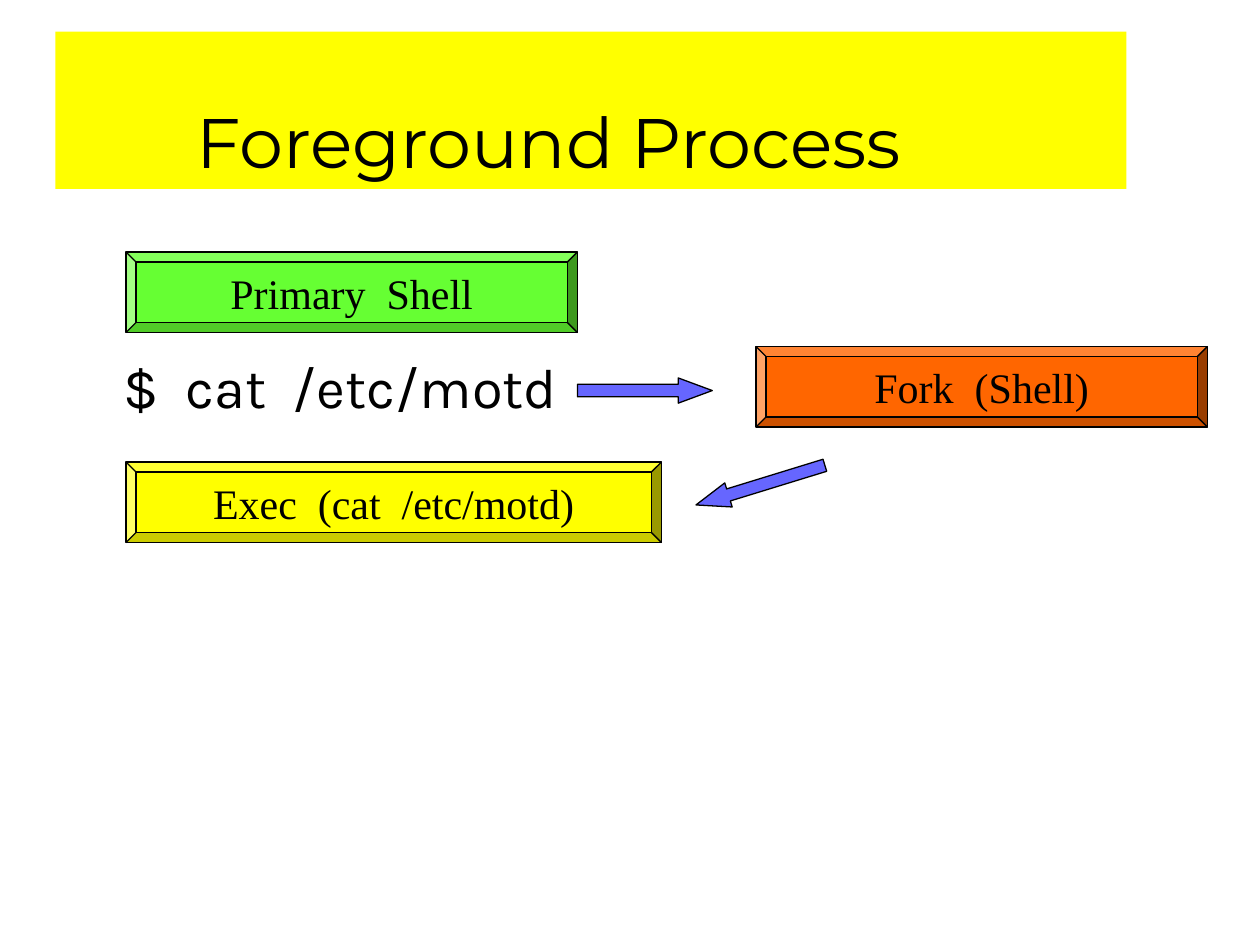
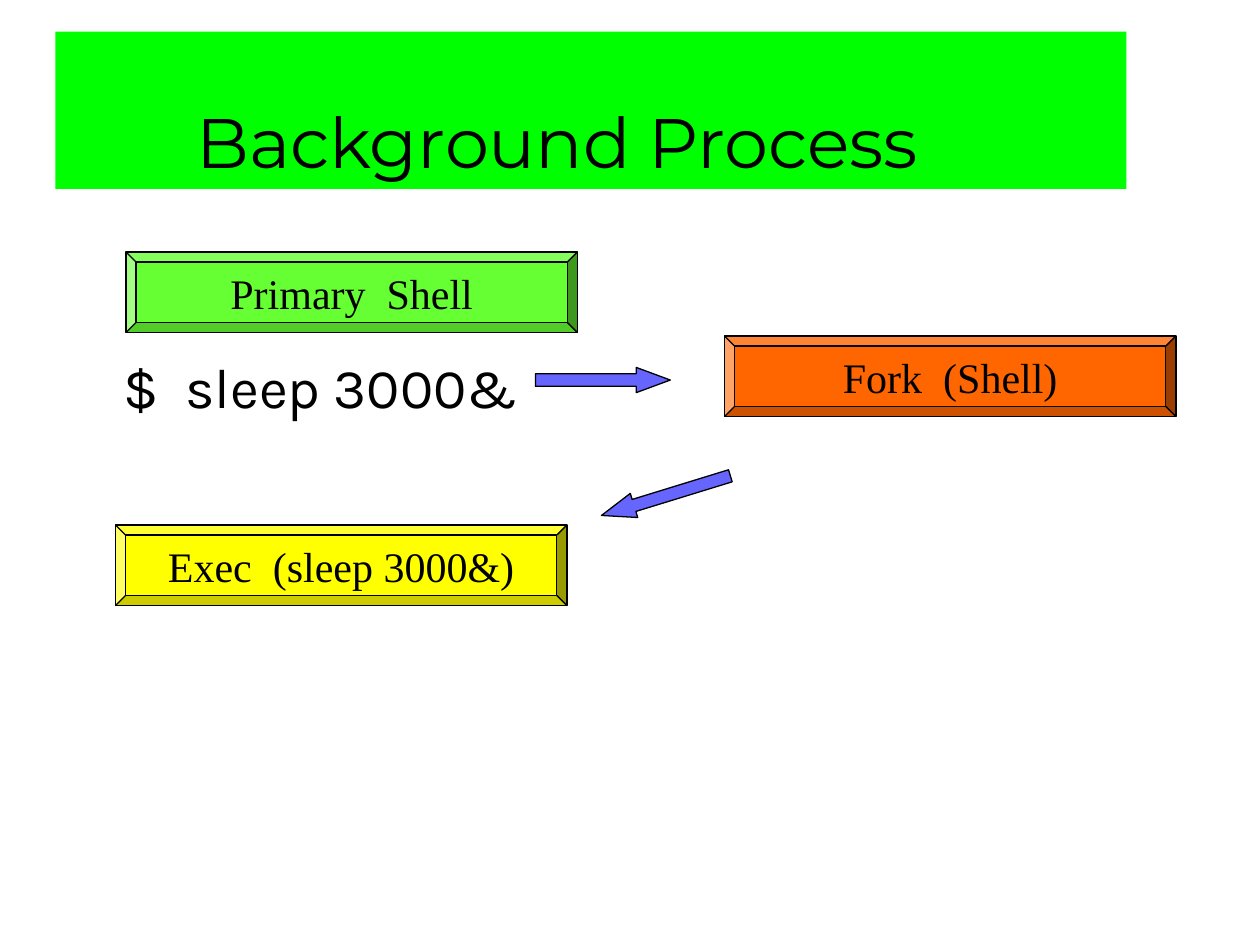
from pptx import Presentation
from pptx import util as u
from pptx.dml.color import RGBColor
from pptx.enum import shapes, text

# Colours and fonts
BLACK = RGBColor(0x00, 0x00, 0x00)
YELLOW = RGBColor(0xFF, 0xFF, 0x00)
GREEN = RGBColor(0x00, 0xFF, 0x00)
LIME = RGBColor(0x66, 0xFF, 0x33)
ORANGE = RGBColor(0xFF, 0x66, 0x00)
BLUE = RGBColor(0x66, 0x66, 0xFF)
TITLE_FONT, COMMAND_FONT, BOX_FONT = "Montserrat", "Karla", "Times New Roman"

# Content: places are (column, row) on a grid of twelfths of an inch
SLIDES = [
    {
        "title": "Foreground Process",
        "band": YELLOW,
        "command": "$  cat  /etc/motd",
        "boxes": [
            ("Primary  Shell", LIME, (12, 24), 43),
            ("Fork  (Shell)", ORANGE, (72, 33), 43),
            ("Exec  (cat  /etc/motd)", YELLOW, (12, 44), 51),
        ],
        "fork_arrow": (55, 36),
        "exec_arrow": (66, 45),
    },
    {
        "title": "Background Process",
        "band": GREEN,
        "command": "$  sleep 3000&",
        "boxes": [
            ("Primary  Shell", LIME, (12, 24), 43),
            ("Fork  (Shell)", ORANGE, (69, 32), 43),
            ("Exec  (sleep 3000&)", YELLOW, (11, 50), 43),
        ],
        "fork_arrow": (51, 35),
        "exec_arrow": (57, 46),
    },
]

# Sizes shared by both slides, in inches
GRID = 12
BOX_HEIGHT = 0.64
ARROW_SIZE = (1.07, 0.2)
EXEC_ARROW_TURN = 162.9
TITLE_AREA = (0.44, 0.25, 8.5, 1.25)
TITLE_INDENT = 1.12
BODY_AREA = (0.5, 2.06, 8.94, 4.56)
BODY_INSETS = (0.48, 0.74)


def inches(*lengths):
    return [u.Inches(length) for length in lengths]


def write(shape, words, font, size, anchor, align):
    text_frame = shape.text_frame
    text_frame.text = words
    text_frame.vertical_anchor = anchor
    paragraph = text_frame.paragraphs[0]
    paragraph.alignment = align
    run_font = paragraph.runs[0].font
    run_font.name, run_font.size = font, u.Pt(size)
    run_font.color.rgb = BLACK


def add_filled(slide, kind, area, fill, outlined=True):
    shape = slide.shapes.add_shape(kind, *inches(*area))
    shape.shadow.inherit = False
    shape.fill.solid()
    shape.fill.fore_color.rgb = fill
    if outlined:
        shape.line.color.rgb = BLACK
        shape.line.width = u.Pt(0.75)
    else:
        shape.line.fill.background()
    return shape


def add_title(slide, words, fill):
    band = add_filled(slide, shapes.MSO_SHAPE.RECTANGLE, TITLE_AREA, fill, outlined=False)
    write(band, words, TITLE_FONT, 40, text.MSO_ANCHOR.BOTTOM, text.PP_ALIGN.LEFT)
    band.text_frame.margin_left = u.Inches(TITLE_INDENT)


def add_command(slide, words):
    body = slide.shapes.add_textbox(*inches(*BODY_AREA))
    write(body, words, COMMAND_FONT, 32, text.MSO_ANCHOR.TOP, text.PP_ALIGN.LEFT)
    text_frame = body.text_frame
    text_frame.word_wrap = True
    text_frame.margin_left, text_frame.margin_top = inches(*BODY_INSETS)


def add_box(slide, words, fill, place, columns):
    column, row = place
    area = (column / GRID, row / GRID, columns / GRID, BOX_HEIGHT)
    box = add_filled(slide, shapes.MSO_SHAPE.BEVEL, area, fill)
    box.adjustments[0] = 0.125
    write(box, words, BOX_FONT, 24, text.MSO_ANCHOR.MIDDLE, text.PP_ALIGN.CENTER)
    box.text_frame.word_wrap = False


def add_arrow(slide, place, turn=0):
    column, row = place
    area = (column / GRID, row / GRID, *ARROW_SIZE)
    arrow = add_filled(slide, shapes.MSO_SHAPE.RIGHT_ARROW, area, BLUE)
    arrow.adjustments[1] = 1.35
    arrow.rotation = turn


def main():
    presentation = Presentation()
    presentation.slide_width, presentation.slide_height = inches(10, 7.5)
    blank = presentation.slide_layouts[6]
    for content in SLIDES:
        slide = presentation.slides.add_slide(blank)
        add_title(slide, content["title"], content["band"])
        add_command(slide, content["command"])
        for box in content["boxes"]:
            add_box(slide, *box)
        add_arrow(slide, content["fork_arrow"])
        add_arrow(slide, content["exec_arrow"], EXEC_ARROW_TURN)
    presentation.save("out.pptx")


if __name__ == "__main__":
    main()
